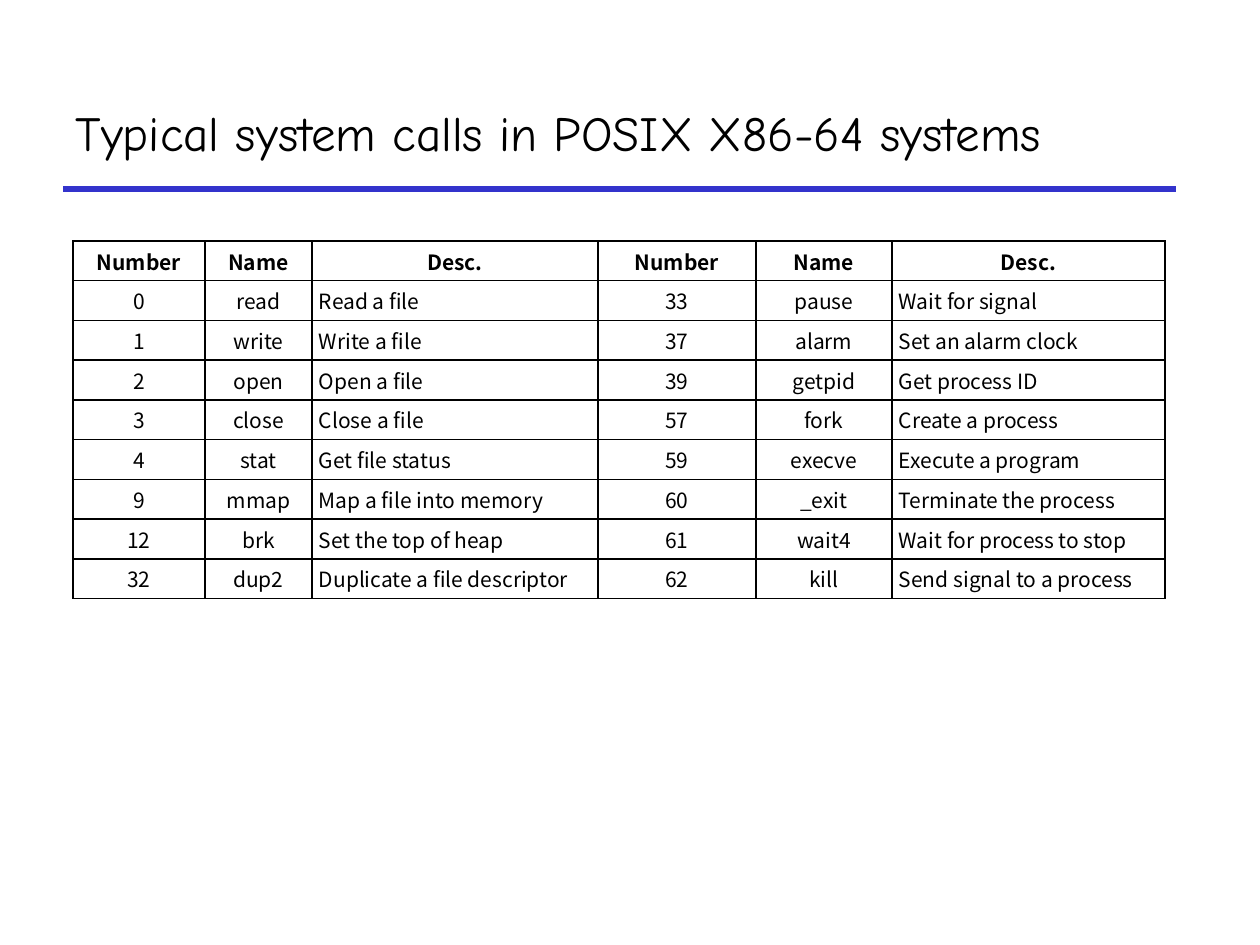
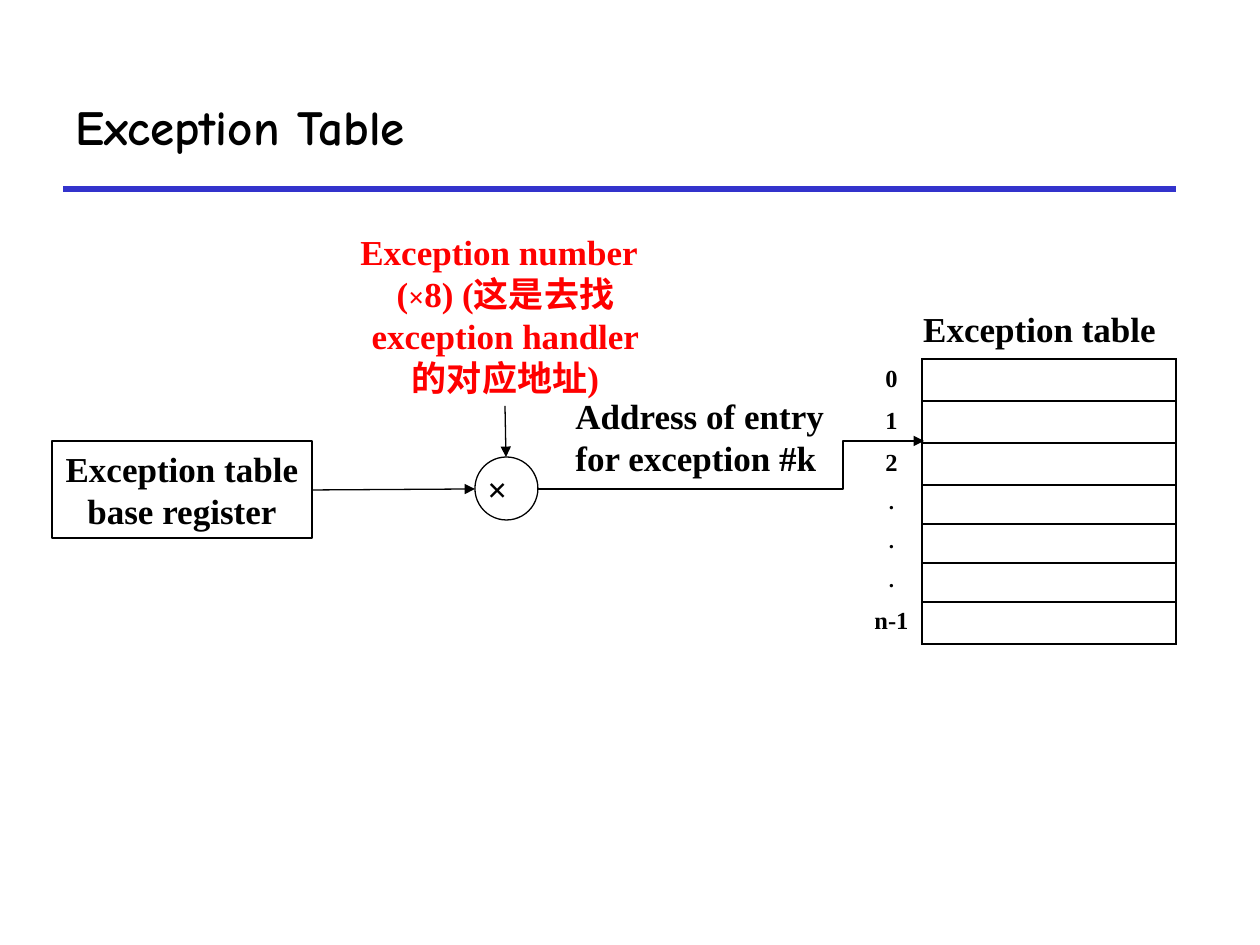
from lxml.etree import SubElement
from pptx import Presentation
from pptx.dml.color import RGBColor
from pptx.enum.shapes import MSO_CONNECTOR, MSO_SHAPE
from pptx.enum.text import MSO_ANCHOR, MSO_AUTO_SIZE, PP_ALIGN
from pptx.oxml.ns import qn
from pptx.util import Emu, Pt

SCALE = 914400 / 126
BLACK, RED, BLUE = "000000", "FF0000", "3333CC"
COMIC, SANS, SERIF = "Comic Neue", "Noto Sans CJK SC", "Times New Roman"
LEFT, MID, RIGHT = PP_ALIGN.LEFT, PP_ALIGN.CENTER, PP_ALIGN.RIGHT
NO_GRID = "{2D5ABB26-0587-4C30-8999-92F81FD0307C}"

CALLS = [
    ("Number", "Name", "Desc.", "Number", "Name", "Desc."),
    ("0", "read", "Read a file", "33", "pause", "Wait for signal"),
    ("1", "write", "Write a file", "37", "alarm", "Set an alarm clock"),
    ("2", "open", "Open a file", "39", "getpid", "Get process ID"),
    ("3", "close", "Close a file", "57", "fork", "Create a process"),
    ("4", "stat", "Get file status", "59", "execve", "Execute a program"),
    ("9", "mmap", "Map a file into memory", "60", "_exit",
     "Terminate the process"),
    ("12", "brk", "Set the top of heap", "61", "wait4",
     "Wait for process to stop"),
    ("32", "dup2", "Duplicate a file descriptor", "62", "kill",
     "Send signal to a process"),
]


def px(n):
    """Turn pixels into EMU."""
    return Emu(round(n * SCALE))


def box(*sides):
    """Turn a pixel box into EMU lengths."""
    return [px(n) for n in sides]


def hue(code):
    """Make a colour from a hex string."""
    return RGBColor.from_string(code)


def add_run(para, text, size, face, color=BLACK, bold=False):
    """Add one formatted run."""
    run = para.add_run()
    run.text = text
    font = run.font
    font.size, font.bold = Pt(size), bold
    font.color.rgb = hue(color)
    font.name = face
    SubElement(run._r.rPr, qn("a:ea"), typeface=SANS)


def fill_text(frame, paras, color=BLACK, wrap=False):
    """Write (alignment, [(text, size), ...]) as bold serif paragraphs."""
    frame.word_wrap = wrap
    frame.auto_size = MSO_AUTO_SIZE.SHAPE_TO_FIT_TEXT
    frame.vertical_anchor = MSO_ANCHOR.TOP
    for i, (align, runs) in enumerate(paras):
        para = frame.add_paragraph() if i else frame.paragraphs[0]
        para.alignment = align
        for text, size in runs:
            add_run(para, text, size, SERIF, color, True)


def add_label(shapes, area, paras, color=BLACK, wrap=False):
    """Add a text box."""
    label = shapes.add_textbox(*box(*area))
    fill_text(label.text_frame, paras, color, wrap)


def add_node(shapes, kind, area):
    """Add an unfilled shape with a thin black outline."""
    node = shapes.add_shape(kind, *box(*area))
    node.shadow.inherit = False
    node.fill.background()
    node.line.color.rgb = hue(BLACK)
    node.line.width = Pt(0.75)
    return node


def add_line(shapes, ends, color=BLACK, width=0.75,
             kind=MSO_CONNECTOR.STRAIGHT, head=True):
    """Add a line, with an arrowhead at its end if asked."""
    line = shapes.add_connector(kind, *box(*ends))
    line.line.color.rgb = hue(color)
    line.line.width = Pt(width)
    if head:
        SubElement(line.element.find(".//" + qn("a:ln")),
                   qn("a:tailEnd"), type="triangle")
    SubElement(line.element.spPr, qn("a:effectLst"))
    return line


def add_grid(slide, area, cols, rows):
    """Add a table without style; row shares fill the height."""
    frame = slide.shapes.add_table(len(rows), len(cols), *box(*area))
    frame.element.find(".//" + qn("a:tableStyleId")).text = NO_GRID
    table = frame.table
    table.first_row = table.horz_banding = False
    for col, wide in zip(table.columns, cols):
        col.width = px(wide)
    for row, share in zip(table.rows, rows):
        row.height = px(area[3] * share / sum(rows))
    return table


def rule_cell(cell, sides="LRTB"):
    """Draw black borders on the given sides and clear the fill."""
    props = cell._tc.get_or_add_tcPr()
    for side in sides:
        edge = SubElement(props, qn("a:ln" + side), w=str(Pt(1)))
        paint = SubElement(edge, qn("a:solidFill"))
        SubElement(paint, qn("a:srgbClr"), val=BLACK)
    cell.fill.background()


def set_layout(deck):
    """Place the title and the blue rule on the shared layout."""
    layout = deck.slide_layouts[5]
    title = layout.placeholders[0]
    title.left, title.top, title.width, title.height = box(63, 63, 1113, 126)
    return layout


def add_rule(layout, slide):
    """Draw the rule once and move it to the layout."""
    line = add_line(slide.shapes, (63, 189, 1176, 189), BLUE, 3, head=False)
    layout.shapes.element.append(line.element)


def add_title(slide, text, bold=False, gap=1.0):
    """Fill the title placeholder."""
    frame = slide.shapes.title.text_frame
    frame.auto_size = MSO_AUTO_SIZE.NONE
    frame.vertical_anchor = MSO_ANCHOR.MIDDLE
    para = frame.paragraphs[0]
    para.alignment, para.line_spacing = LEFT, gap
    add_run(para, text, 28, COMIC, BLACK, bold)


def add_calls(slide, area):
    """Add the table of system calls."""
    table = add_grid(slide, area, (132, 107, 286, 158, 136, 273),
                     [1] * len(CALLS))
    for r, row in enumerate(CALLS):
        for c, text in enumerate(row):
            cell = table.cell(r, c)
            rule_cell(cell)
            cell.vertical_anchor = MSO_ANCHOR.MIDDLE
            cell.margin_left = cell.margin_right = px(7)
            cell.margin_top = cell.margin_bottom = px(2)
            para = cell.text_frame.paragraphs[0]
            para.alignment = LEFT if r and c % 3 == 2 else MID
            add_run(para, text, 12, SANS, bold=r == 0)


def add_entries(slide, area):
    """Add the exception table with its index column."""
    marks = ["0", "1", "2", ".", ".", ".", "n-1"]
    rows = [54] + [39 if mark == "." else 42 for mark in marks]
    table = add_grid(slide, area, (61, 254), rows)
    top = table.cell(0, 0)
    top.merge(table.cell(0, 1))
    top.margin_right = px(20)
    para = top.text_frame.paragraphs[0]
    para.alignment = RIGHT
    add_run(para, "Exception table", 20, SERIF, bold=True)
    for r, mark in enumerate(marks, 1):
        name, slot = table.cell(r, 0), table.cell(r, 1)
        rule_cell(name, "R")
        rule_cell(slot)
        para = name.text_frame.paragraphs[0]
        para.alignment = MID
        add_run(para, mark, 12 if mark == "." else 14, SERIF, bold=True)
        blank = slot.text_frame.paragraphs[0]._p
        SubElement(blank, qn("a:endParaRPr"), sz="1200")


def add_times(slide, x, y, size):
    """Add the grouped multiplication sign in its circle."""
    parts = slide.shapes.add_group_shape().shapes
    add_node(parts, MSO_SHAPE.FLOWCHART_CONNECTOR, (x, y, size, size))
    add_label(parts, (x, y + 4, size - 3, size - 8), [(LEFT, [("×", 20)])])


def add_flow(slide, x, y):
    """Add the address computation from its top left corner."""
    shapes = slide.shapes
    add_label(shapes, (x + 296, y, 315, 183), [
        (LEFT, [("Exception number", 20)]),
        (MID, [("(", 20), ("×", 16),
               ("8) (这是去找exception handler的对应地址)", 20)]),
    ], RED, True)
    base = add_node(shapes, MSO_SHAPE.RECTANGLE, (x, y + 217, 260, 97))
    fill_text(base.text_frame, [(MID, [("Exception table", 20)]),
                                (MID, [("base register", 20)])])
    add_label(shapes, (x + 511, y + 164, 285, 97), [
        (LEFT, [("Address of entry ", 20)]),
        (LEFT, [("for exception #k", 20)]),
    ])
    add_times(slide, x + 423, y + 233, 63)
    add_line(shapes, (x + 453, y + 182, x + 454, y + 233))
    add_line(shapes, (x + 260, y + 266, x + 423, y + 265))
    bent = add_line(shapes, (x + 485, y + 265, x + 872, y + 217),
                    kind=MSO_CONNECTOR.ELBOW)
    SubElement(bent.element.find(".//" + qn("a:avLst")), qn("a:gd"),
               name="adj1", fmla="val 79100")


def main():
    """Build both slides and save them."""
    deck = Presentation()
    deck.slide_width, deck.slide_height = box(1260, 945)
    layout = set_layout(deck)

    calls = deck.slides.add_slide(layout)
    add_rule(layout, calls)
    add_title(calls, "Typical system calls in POSIX X86-64 systems", gap=1.2)
    add_calls(calls, (73, 241, 1092, 358))

    lookup = deck.slides.add_slide(layout)
    add_title(lookup, "Exception Table", bold=True)
    add_entries(lookup, (861, 305, 315, 339))
    add_flow(lookup, 52, 224)

    deck.save("out.pptx")


main()
